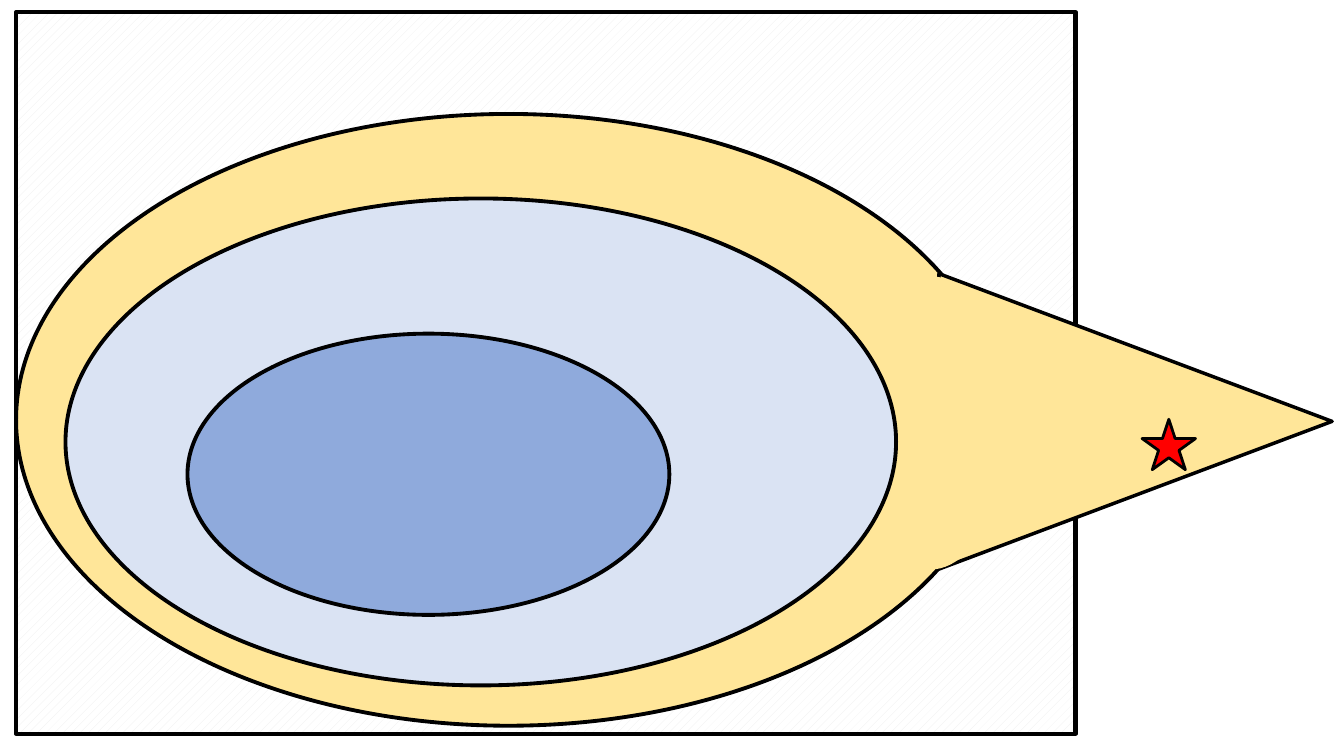
from pptx import Presentation
from pptx.dml.color import RGBColor
from pptx.enum.dml import MSO_PATTERN
from pptx.enum.shapes import MSO_SHAPE as Shape
from pptx.util import Pt

BLACK = RGBColor(0x00, 0x00, 0x00)
WHITE = RGBColor(0xFF, 0xFF, 0xFF)
GREY = RGBColor(0xED, 0xED, 0xED)
YELLOW = RGBColor(0xFF, 0xE6, 0x99)
PALE_BLUE = RGBColor(0xDA, 0xE3, 0xF3)
BLUE = RGBColor(0x8F, 0xAA, 0xDC)
RED = RGBColor(0xFF, 0x00, 0x00)


def add_part(shapes, kind, box, color, line=None):
    """Add a filled shape; a line width of None means no outline."""
    sp = shapes.add_shape(kind, *(Pt(v) for v in box))
    sp.shadow.inherit = False
    if color is not None:
        sp.fill.solid()
        sp.fill.fore_color.rgb = color
    if line is None:
        sp.line.fill.background()
    else:
        sp.line.color.rgb = BLACK
        sp.line.width = Pt(line)
    return sp


def draw_universe(s, box):
    """Patterned frame around the sets."""
    frame = add_part(s.shapes, Shape.RECTANGLE, box, None, 3)
    frame.fill.patterned()
    frame.fill.pattern = MSO_PATTERN.PERCENT_20
    frame.fill.fore_color.rgb = GREY
    frame.fill.back_color.rgb = WHITE


def draw_pointed_set(s, box):
    """Yellow ellipse with a spike on its right, and the star in the spike."""
    x, y, w, h = box
    group = s.shapes.add_group_shape().shapes
    add_part(group, Shape.OVAL, (x, y, 703.4, h), YELLOW, 2.75)
    # Triangle turned to point right, its tip on the box's right edge
    base, length = 211, 280.8
    middle = x + w - length / 2
    spike = add_part(group, Shape.ISOSCELES_TRIANGLE,
                     (middle - base / 2, y + 79.2, base, length), YELLOW, 2.5)
    spike.rotation = 90
    # Borderless ellipse that hides the seam
    add_part(group, Shape.OVAL, (x + 597.6, y + 115.9, 110.9, 209.5), YELLOW)


def draw_inner_sets(s, box):
    """Pale ellipse with a darker one inside it."""
    x, y, w, h = box
    add_part(s.shapes, Shape.OVAL, box, PALE_BLUE, 2.75)
    add_part(s.shapes, Shape.OVAL, (x + 87.1, y + 96.5, 344.2, 200.9), BLUE, 2.75)


def draw_star(s, box):
    """Red star marking a point in the spike."""
    add_part(s.shapes, Shape.STAR_5_POINT, box, RED, 2)


def main():
    prs = Presentation()
    prs.slide_width, prs.slide_height = Pt(960), Pt(540)
    s = prs.slides.add_slide(prs.slide_layouts[6])
    draw_universe(s, (11.5, 8.6, 756.7, 515.5))
    draw_pointed_set(s, (11.5, 81.4, 940, 437))
    draw_inner_sets(s, (46.8, 141.8, 593.3, 347.8))
    draw_star(s, (815.8, 299.5, 38.2, 36))
    prs.save("out.pptx")


if __name__ == "__main__":
    main()
